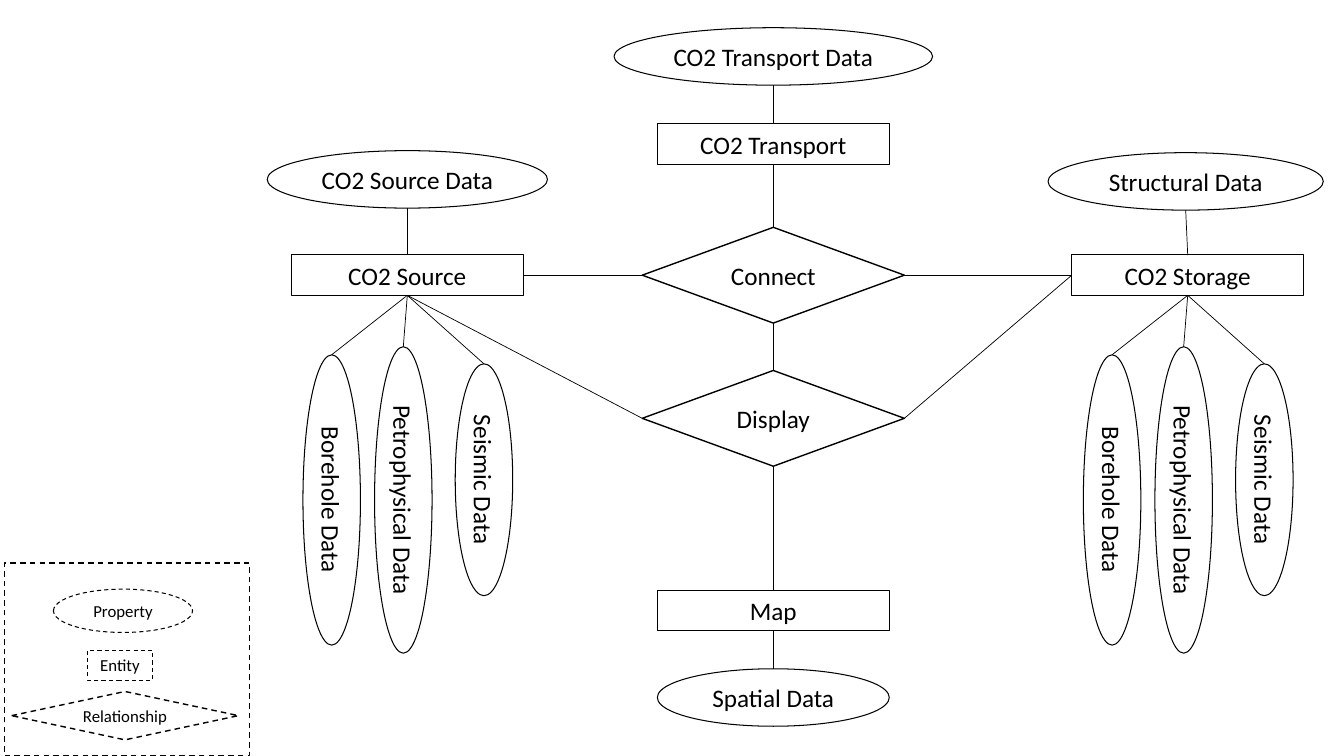
from collections import namedtuple
from lxml.etree import SubElement
from pptx import Presentation
from pptx.dml.color import RGBColor
from pptx.enum.dml import MSO_LINE
from pptx.enum.shapes import MSO_CONNECTOR, MSO_SHAPE
from pptx.enum.text import MSO_ANCHOR, PP_ALIGN
from pptx.oxml.ns import qn
from pptx.util import Inches, Pt

Sides = namedtuple("Sides", "top left bottom right")


def color(text):
    return RGBColor.from_string(text)


class Chart:
    """Style and current slide of the entity-relationship diagram."""
    font, ink, paper = "Calibri", "000000", "FFFFFF"

    def __init__(self, slide):
        self.slide = slide
        self.shapes = slide.shapes
        self.size, self.dash = 18, None

    def begin_key(self):
        self.shapes = self.slide.shapes.add_group_shape().shapes
        self.size, self.dash = 12, MSO_LINE.DASH

    def node(self, kind, text, x, y, width, height, weight=0.75, turn=0):
        """Draw a shape centred on x, y and return its side points."""
        shape = self.shapes.add_shape(
            kind, Inches(x - width / 2), Inches(y - height / 2),
            Inches(width), Inches(height))
        shape.shadow.inherit = False
        shape.rotation = turn
        shape.fill.background()
        shape.line.color.rgb = color(self.ink)
        shape.line.width = Pt(weight)
        if self.dash:
            shape.line.dash_style = self.dash
        if text:
            self.label(shape.text_frame, text)
        if turn:
            width, height = height, width
        return Sides((x, y - height / 2), (x - width / 2, y),
                     (x, y + height / 2), (x + width / 2, y)), shape

    def label(self, frame, text):
        frame.text = text
        frame.word_wrap = False
        frame.vertical_anchor = MSO_ANCHOR.MIDDLE
        line = frame.paragraphs[0]
        line.alignment = PP_ALIGN.CENTER
        font = line.runs[0].font
        font.name, font.size = self.font, Pt(self.size)
        font.color.rgb = color(self.ink)

    def oval(self, text, x, y, width, height=0.57, turn=0):
        return self.node(MSO_SHAPE.OVAL, text, x, y, width, height, turn=turn)[0]

    def box(self, text, x, y, width=2.3, height=0.4, weight=0.75):
        return self.node(MSO_SHAPE.RECTANGLE, text, x, y, width, height, weight)[0]

    def rhomb(self, text, x, y, width=2.6, height=0.95):
        sides, shape = self.node(MSO_SHAPE.FLOWCHART_DECISION, text,
                                 x, y, width, height, 1)
        shape.fill.solid()
        shape.fill.fore_color.rgb = color(self.paper)
        return sides

    def link(self, start, end):
        line = self.shapes.add_connector(
            MSO_CONNECTOR.STRAIGHT, *(Inches(v) for v in start + end))
        line.line.color.rgb = color(self.ink)
        line.line.width = Pt(0.5)
        SubElement(line._element.spPr, qn("a:effectLst"))


deck = Presentation()
deck.slide_width, deck.slide_height = Inches(13.33), Inches(7.5)
chart = Chart(deck.slides.add_slide(deck.slide_layouts[6]))

# Entities and relationships
mid, row = 7.67, 2.73
source = chart.box("CO2 Source", 4.04, row)
store = chart.box("CO2 Storage", 11.78, row)
move = chart.box("CO2 Transport", mid, 1.43)
plan = chart.box("Map", mid, 6.06)
connect = chart.rhomb("Connect", mid, row)
display = chart.rhomb("Display", mid, 4.15)

# Properties above and below the entities
source_data = chart.oval("CO2 Source Data", 4.04, 1.78, 2.78)
store_data = chart.oval("Structural Data", 11.76, 1.8, 2.73)
move_data = chart.oval("CO2 Transport Data", mid, 0.56, 3.16)
plan_data = chart.oval("Spatial Data", mid, 6.92, 2.3)

# Upright properties hanging from source and storage
hung = [("Borehole Data", -0.75, 4.96, 2.88),
        ("Petrophysical Data", -0.04, 4.96, 3.04),
        ("Seismic Data", 0.76, 4.76, 2.3)]
for owner in (source, store):
    for text, shift, y, length in hung:
        drop = chart.oval(text, owner.bottom[0] + shift, y, length, turn=90)
        chart.link(drop.top, owner.bottom)

# Links
for start, end in [
        (source_data.bottom, source.top), (store_data.bottom, store.top),
        (move_data.bottom, move.top), (move.bottom, connect.top),
        (source.right, connect.left), (connect.right, store.left),
        (connect.bottom, display.top), (source.bottom, display.left),
        (store.left, display.right), (display.bottom, plan.top),
        (plan.bottom, plan_data.top)]:
    chart.link(start, end)

# Key
chart.begin_key()
chart.box("", 1.26, 6.54, 2.43, 1.91, 1)
chart.oval("Property", 1.22, 6.06, 1.38, 0.43)
chart.box("Entity", 1.19, 6.6, 0.64, 0.3)
chart.rhomb("Relationship", 1.24, 7.1, 2.25, 0.48)

deck.save("out.pptx")
